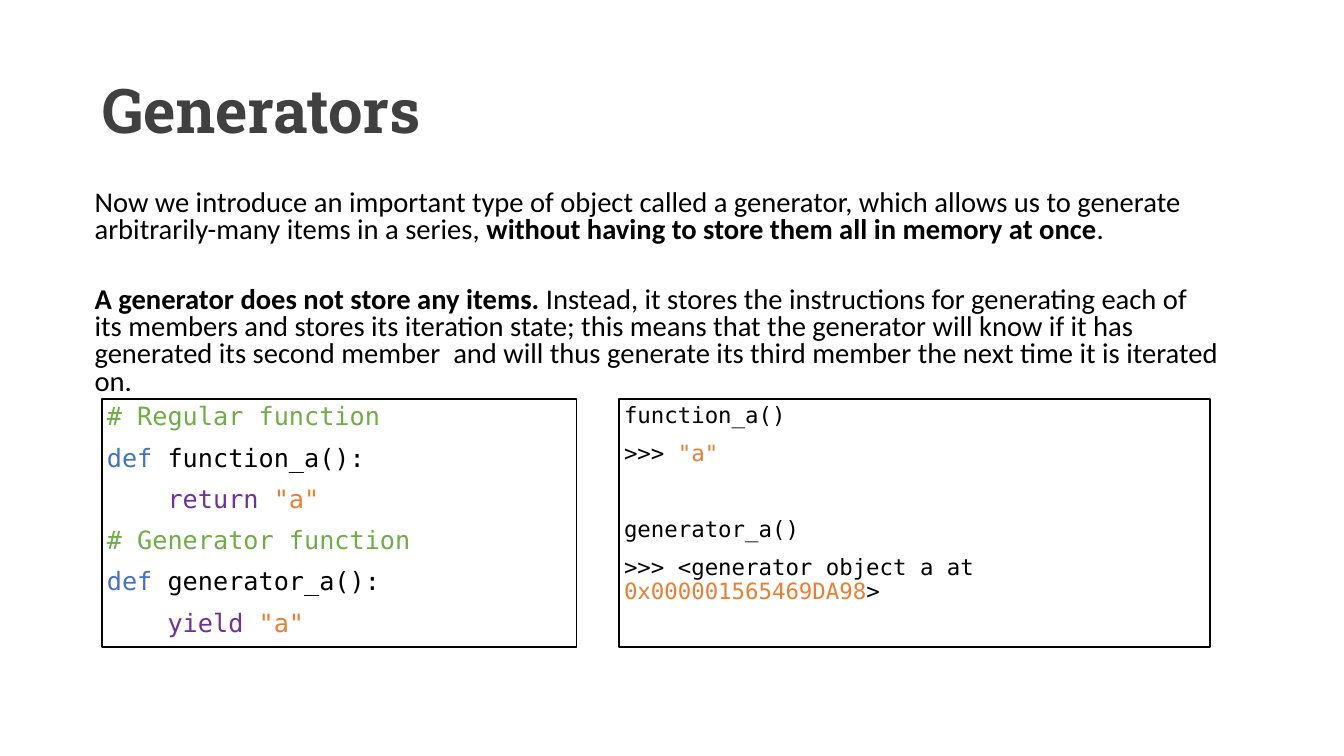
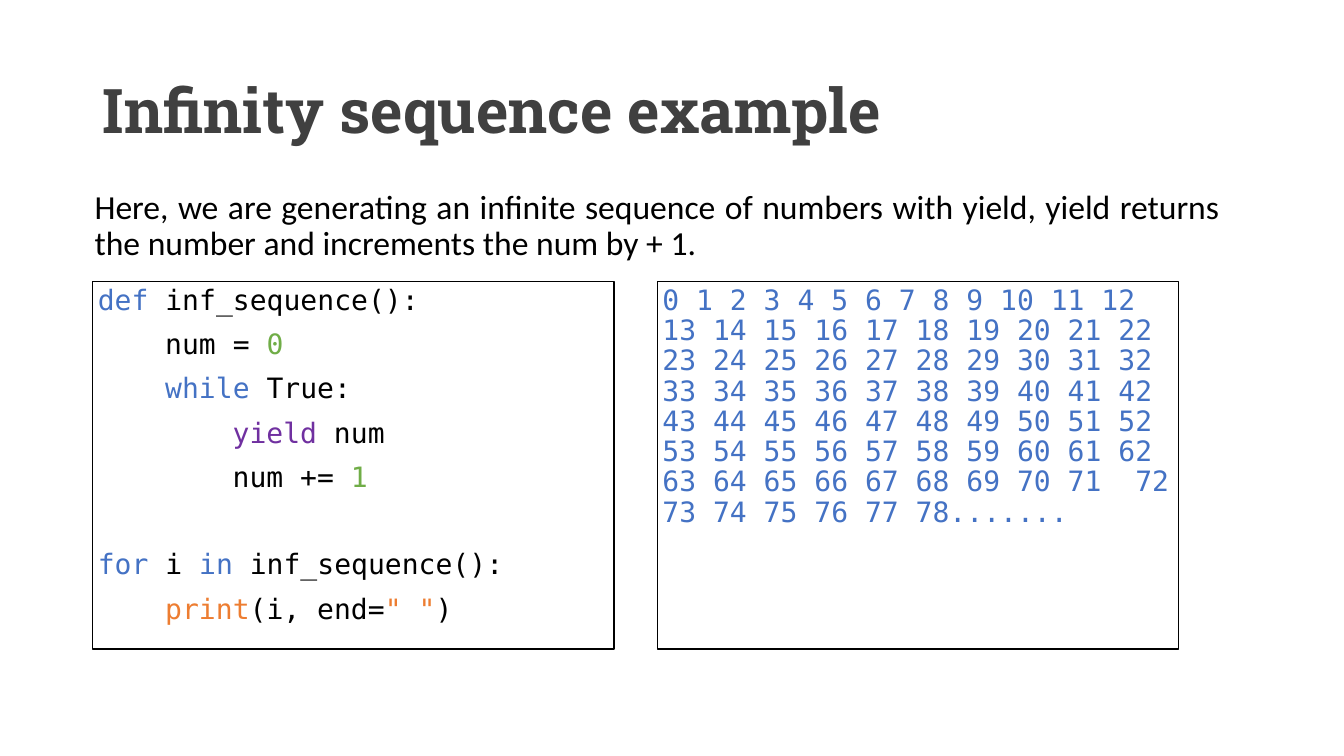
from dataclasses import dataclass

from pptx import Presentation
from pptx.dml.color import RGBColor
from pptx.enum.shapes import MSO_SHAPE as Shape
from pptx.enum.text import MSO_ANCHOR as Anchor, PP_ALIGN as Align
from pptx.util import Inches, Pt

# Shared palette and fonts
BLACK, TITLE_GREY = "000000", "404040"
BLUE, GREEN, PURPLE, ORANGE = "4472C4", "70AD47", "7030A0", "ED7D31"
TITLE_FONT, BODY_FONT, CODE_FONT = "Roboto Slab", "Calibri", "DejaVu Sans Mono"
CODE_CHAR_WIDTH = 0.602  # of the font size
LINE_HEIGHT = {TITLE_FONT: 1.32, BODY_FONT: 1.22, CODE_FONT: 1.16}


def color(hex_string):
    return RGBColor.from_string(hex_string)


@dataclass
class Run:
    text: str
    color: str = BLACK
    bold: bool = False


@dataclass
class Line:
    runs: list
    indent: int = 0  # characters
    gap: bool = False  # one empty line above


class Deck:
    def __init__(self):
        self.presentation = Presentation()
        self.presentation.slide_width = Inches(13.33)
        self.presentation.slide_height = Inches(7.5)
        self.slide = None

    def add_slide(self, title):
        layout = self.presentation.slide_layouts[6]
        self.slide = self.presentation.slides.add_slide(layout)
        text_frame = self.text_box(0.92, 0.4, 11.5, 1.45)
        text_frame.vertical_anchor = Anchor.MIDDLE
        self.add_lines(text_frame, [Line([Run(title, TITLE_GREY, True)])],
                       TITLE_FONT, 44)

    def text_box(self, left, top, width, height):
        box = self.slide.shapes.add_textbox(
            Inches(left), Inches(top), Inches(width), Inches(height))
        box.text_frame.word_wrap = True
        return box.text_frame

    def add_lines(self, text_frame, lines, font, size, spacing=0.9, before=0,
                  align=Align.LEFT):
        for number, line in enumerate(lines):
            paragraph = (text_frame.add_paragraph() if number
                         else text_frame.paragraphs[0])
            paragraph.alignment = align
            paragraph.line_spacing = spacing
            empty_line = before + size * LINE_HEIGHT[font] * spacing
            paragraph.space_before = Pt(
                round(before + empty_line * line.gap, 1))
            if line.indent:
                margin = Pt(line.indent * CODE_CHAR_WIDTH * size)
                properties = paragraph._p.get_or_add_pPr()
                properties.set("marL", str(margin))
                properties.set("indent", "0")
            for part in line.runs:
                run = paragraph.add_run()
                run.text = part.text
                run.font.name = font
                run.font.size = Pt(size)
                run.font.bold = part.bold
                run.font.color.rgb = color(part.color)

    def body(self, lines, height, size, spacing, align=Align.LEFT):
        text_frame = self.text_box(0.84, 1.84, 11.36, height)
        self.add_lines(text_frame, lines, BODY_FONT, size, spacing, 5, align)

    def code(self, left, top, width, height, lines, size):
        shape = self.slide.shapes.add_shape(
            Shape.RECTANGLE, Inches(left), Inches(top),
            Inches(width), Inches(height))
        shape.shadow.inherit = False
        shape.fill.background()
        shape.line.color.rgb = color(BLACK)
        shape.line.width = Pt(1)
        text_frame = shape.text_frame
        text_frame.word_wrap = True
        text_frame.vertical_anchor = Anchor.TOP
        text_frame.margin_left = text_frame.margin_right = Inches(0.05)
        text_frame.margin_top = text_frame.margin_bottom = Inches(0.05)
        self.add_lines(text_frame, lines, CODE_FONT, size, before=10)


def function_lines(comment, name, keyword):
    return [
        Line([Run(comment, GREEN)]),
        Line([Run("def ", BLUE), Run(f"{name}():")]),
        Line([Run(f"{keyword} ", PURPLE), Run('"a"', ORANGE)], indent=4),
    ]


def generators(deck):
    deck.add_slide("Generators")
    deck.body([
        Line([
            Run("Now we introduce an important type of object called a "
                "generator, which allows us to generate arbitrarily-many "
                "items in a series, "),
            Run("without having to store them all in memory at once",
                bold=True),
            Run("."),
        ]),
        Line([
            Run("A generator does not store any items.", bold=True),
            Run(" Instead, it stores the instructions for generating each of "
                "its members and stores its iteration state; this means that "
                "the generator will know if it has generated its second "
                "member  and will thus generate its third member the next "
                "time it is iterated on."),
        ], gap=True),
    ], height=1.91, size=20.4, spacing=0.8)

    # Definitions on the left, results on the right
    top, height = 3.96, 2.46
    deck.code(1.01, top, 4.71, height,
              function_lines("# Regular function", "function_a", "return")
              + function_lines("# Generator function", "generator_a", "yield"),
              size=18)
    deck.code(6.14, top, 5.86, height, [
        Line([Run("function_a()")]),
        Line([Run(">>> "), Run('"a"', ORANGE)]),
        Line([Run("generator_a()")], gap=True),
        Line([Run(">>> <generator object a at "),
              Run("0x000001565469DA98", ORANGE), Run(">")]),
    ], size=16)


def infinity_sequence(deck):
    deck.add_slide("Infinity sequence example")
    deck.body([
        Line([Run("Here, we are generating an infinite sequence of numbers "
                  "with yield, yield returns the number and increments the "
                  "num by + 1.")]),
    ], height=1.17, size=24, spacing=0.9, align=Align.JUSTIFY)

    # Program and output in two equal boxes
    left, top, width, height, gutter = 0.92, 2.79, 5.17, 3.65, 0.43
    deck.code(left, top, width, height, [
        Line([Run("def ", BLUE), Run("inf_sequence():")]),
        Line([Run("num = "), Run("0", GREEN)], indent=4),
        Line([Run("while", BLUE), Run(" True:")], indent=4),
        Line([Run("yield", PURPLE), Run(" num")], indent=8),
        Line([Run("num += "), Run("1", GREEN)], indent=8),
        Line([Run("for ", BLUE), Run("i "), Run("in ", BLUE),
              Run("inf_sequence():")], gap=True),
        Line([Run("print", ORANGE), Run("(i, end="), Run('" "', ORANGE),
              Run(")")], indent=4),
    ], size=20)
    numbers = [" ".join(map(str, span)) for span in (range(72), range(72, 79))]
    deck.code(left + width + gutter, top, width, height,
              [Line([Run("  ".join(numbers) + ".......", BLUE)])], size=20)


def main():
    deck = Deck()
    generators(deck)
    infinity_sequence(deck)
    deck.presentation.save("out.pptx")


if __name__ == "__main__":
    main()
